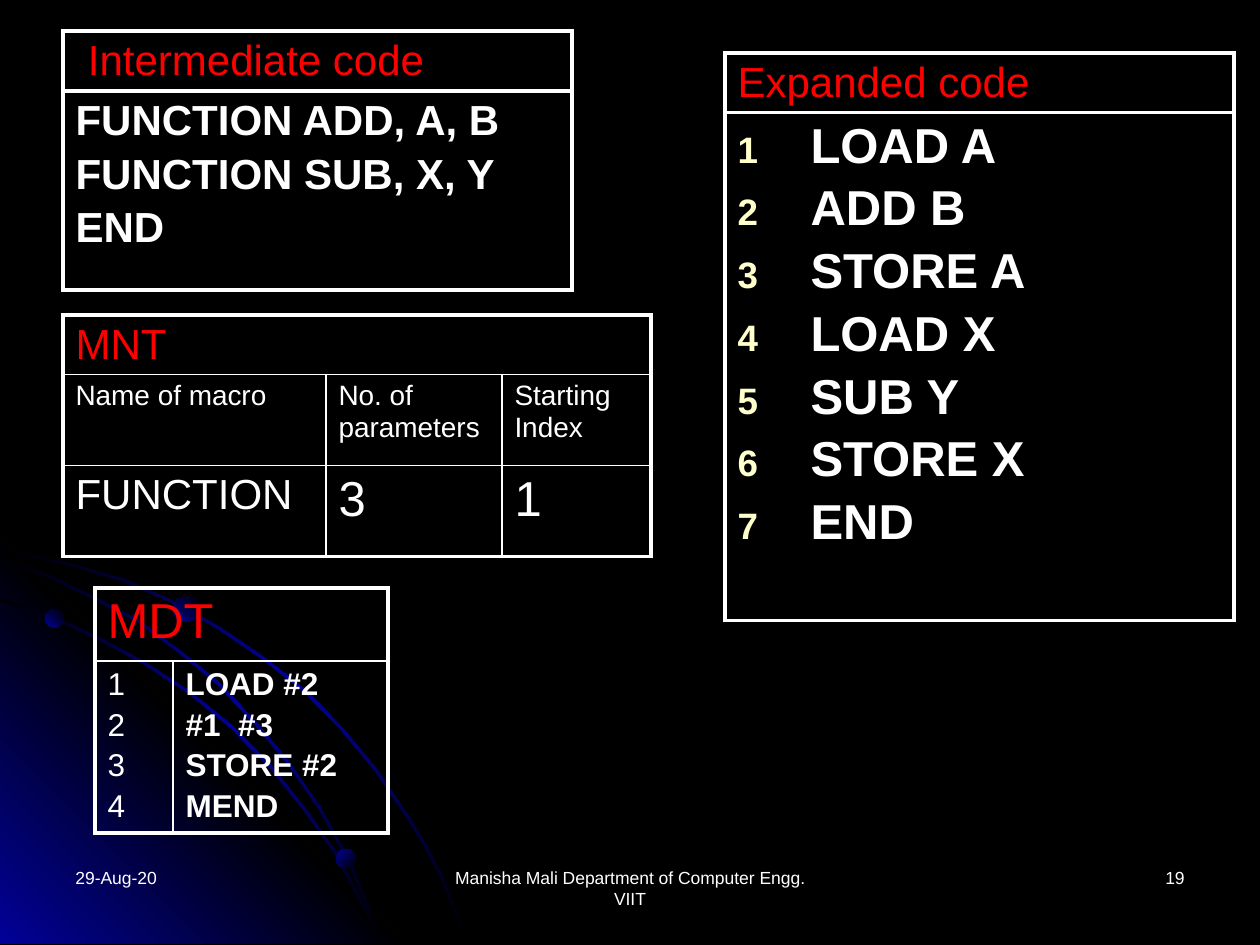
from pptx import Presentation
from pptx import util as u
from pptx.dml import color
from pptx.enum import shapes, text
from pptx.oxml import parse_xml
from pptx.oxml.ns import nsdecls

PX = 914400 / 126
WHITE, RED, BLACK, BLUE, CREAM = "FFFFFF", "FF0000", "000000", "010199", "FFFFCC"
THICK, THIN = 2.25, 1
HANG = 73

# Lower edge of each arc that sweeps across the bottom left corner
ARCS = [
    [(0, 551), (35, 558), (71, 566), (122, 581), (170, 602), (218, 629),
     (262, 659), (304, 692), (341, 730), (375, 771), (407, 818), (425, 848),
     (441, 879), (454, 911), (466, 944)],
    [(0, 601), (49, 617), (97, 639), (145, 665), (189, 694), (231, 728),
     (268, 766), (302, 808), (334, 853), (359, 900), (370, 922), (379, 944)],
    [(0, 559), (45, 576), (93, 599), (137, 622), (179, 653), (218, 685),
     (255, 725), (286, 762), (318, 808), (336, 840), (353, 874), (368, 910),
     (379, 944)],
]
DOTS = [(45, 609, 19, 315), (336, 849, 20, 45), (173, 596, 26, 315)]


def px(n):
    return u.Emu(round(n * PX))


def rgb(code):
    return color.RGBColor.from_string(code)


def shade(shape, hues, angle):
    """Fill a shape with evenly spaced gradient stops and no outline."""
    step = 100000 // (len(hues) - 1)
    stops = "".join(
        f'<a:gs pos="{i * step}"><a:srgbClr val="{hue}"/></a:gs>'
        for i, hue in enumerate(hues))
    shape.shadow.inherit = False
    shape.line.fill.background()
    shape.fill.background()
    old = shape.fill._xPr.find("{*}noFill")
    old.getparent().replace(old, parse_xml(
        f'<a:gradFill {nsdecls("a")} rotWithShape="1"><a:gsLst>{stops}</a:gsLst>'
        f'<a:lin ang="{angle * 60000}" scaled="1"/></a:gradFill>'))


def add_form(slide, points, hues, angle):
    form = slide.shapes.build_freeform(*points[0], scale=PX)
    form.add_line_segments(points[1:], close=True)
    shade(form.convert_to_shape(), hues, angle)


def add_arc(slide, edge):
    back = [(x + 2, y - 2) for x, y in reversed(edge)]
    add_form(slide, edge + back, [BLACK, BLUE, BLACK], 45)


def add_dot(slide, x, y, size, angle):
    dot = slide.shapes.add_shape(
        shapes.MSO_SHAPE.OVAL, px(x), px(y), px(size), px(size))
    shade(dot, [BLUE, BLACK], angle)


def style(para, size, hue=WHITE, bold=False):
    for run in para.runs:
        font = run.font
        font.name, font.size, font.bold = "Arial", u.Pt(size), bold
        font.color.rgb = rgb(hue)


def add_note(slide, words, x, width, align):
    box = slide.shapes.add_textbox(px(x), px(861), px(width), px(63))
    box.text_frame.word_wrap = True
    para = box.text_frame.paragraphs[0]
    para.text, para.alignment = words, align
    style(para, 10)


def add_number(para):
    """Number a paragraph, with its text hanging."""
    props = para._p.get_or_add_pPr()
    props.set("marL", str(px(HANG)))
    props.set("indent", str(-px(HANG)))
    for part in (f'buClr {nsdecls("a")}><a:srgbClr val="{CREAM}"/></a:buClr',
                 f'buSzPct {nsdecls("a")} val="75000"/',
                 f'buFont {nsdecls("a")} typeface="Arial"/',
                 f'buAutoNum {nsdecls("a")} type="arabicPlain"/'):
        props.append(parse_xml(f"<a:{part}>"))


def write(cell, words, size, hue=WHITE, bold=False, listed=False):
    cell.text_frame.text = words
    for i, para in enumerate(cell.text_frame.paragraphs):
        if i:
            para.space_before = u.Pt(size / 6)
        if listed:
            add_number(para)
        style(para, size, hue, bold)


def add_edges(cell, widths):
    """Draw the left, right, top and bottom borders, in that order."""
    props = cell._tc.get_or_add_tcPr()
    for side, width in zip("LRTB", widths):
        props.append(parse_xml(
            f'<a:ln{side} {nsdecls("a")} w="{u.Pt(width)}"><a:solidFill>'
            f'<a:srgbClr val="{WHITE}"/></a:solidFill></a:ln{side}>'))
    cell.fill.background()


def add_grid(slide, x, y, cols, rows, title, size, inner=THIN):
    """Add a framed table whose first row is one wide title cell."""
    table = slide.shapes.add_table(
        len(rows), len(cols), px(x), px(y), px(sum(cols)), px(sum(rows))).table
    table.first_row = table.horz_banding = False
    for col, width in zip(table.columns, cols):
        col.width = px(width)
    for row, height in zip(table.rows, rows):
        row.height = px(height)
    for r in range(len(rows)):
        for c in range(len(cols)):
            outer = (r == 0 or c == 0, r == 0 or c == len(cols) - 1,
                     r == 0, r == len(rows) - 1)
            add_edges(table.cell(r, c), [THICK if o else inner for o in outer])
    head = table.cell(0, 0)
    if len(cols) > 1:
        head.merge(table.cell(0, len(cols) - 1))
    write(head, title, size, RED)
    return table


def add_tables(slide):
    code = add_grid(slide, 63, 31, [509], [60, 199], "Intermediate code", 24, THICK)
    code.cell(0, 0).margin_left = px(25)
    write(code.cell(1, 0), "FUNCTION ADD, A, B\nFUNCTION SUB, X, Y\nEND", 24, bold=True)

    full = add_grid(slide, 725, 53, [509], [59, 508], "Expanded code", 24, THICK)
    write(full.cell(1, 0), "LOAD A\nADD B\nSTORE A\nLOAD X\nSUB Y\nSTORE X\nEND",
          28, bold=True, listed=True)

    names = add_grid(slide, 63, 315, [263, 176, 149], [59, 91, 91], "MNT", 24)
    heads = ["Name of macro", "No. of parameters", "Starting Index"]
    for c, words in enumerate(heads):
        write(names.cell(1, c), words, 16)
    for c, (words, size) in enumerate([("FUNCTION", 24), ("3", 28), ("1", 28)]):
        write(names.cell(2, c), words, size)

    defs = add_grid(slide, 95, 588, [78, 215], [73, 172], "MDT", 28)
    write(defs.cell(1, 0), "1\n2\n3\n4", 18)
    write(defs.cell(1, 1), "LOAD #2\n#1  #3\nSTORE #2\nMEND", 18, bold=True)


def main():
    deck = Presentation()
    deck.slide_width, deck.slide_height = px(1260), px(945)
    slide = deck.slides.add_slide(deck.slide_layouts[6])
    back = slide.background.fill
    back.solid()
    back.fore_color.rgb = rgb(BLACK)

    add_arc(slide, ARCS[0])
    add_form(slide, [(406, 944), (0, 944), (0, 538)], [BLUE, BLACK, BLUE], 315)
    for edge in ARCS[1:]:
        add_arc(slide, edge)
    for dot in DOTS:
        add_dot(slide, *dot)

    add_tables(slide)
    align = text.PP_ALIGN
    add_note(slide, "29-Aug-20", 63, 294, align.LEFT)
    add_note(slide, "Manisha Mali Department of Computer Engg. VIIT", 430, 400, align.CENTER)
    add_note(slide, "19", 903, 294, align.RIGHT)
    deck.save("out.pptx")


if __name__ == "__main__":
    main()
